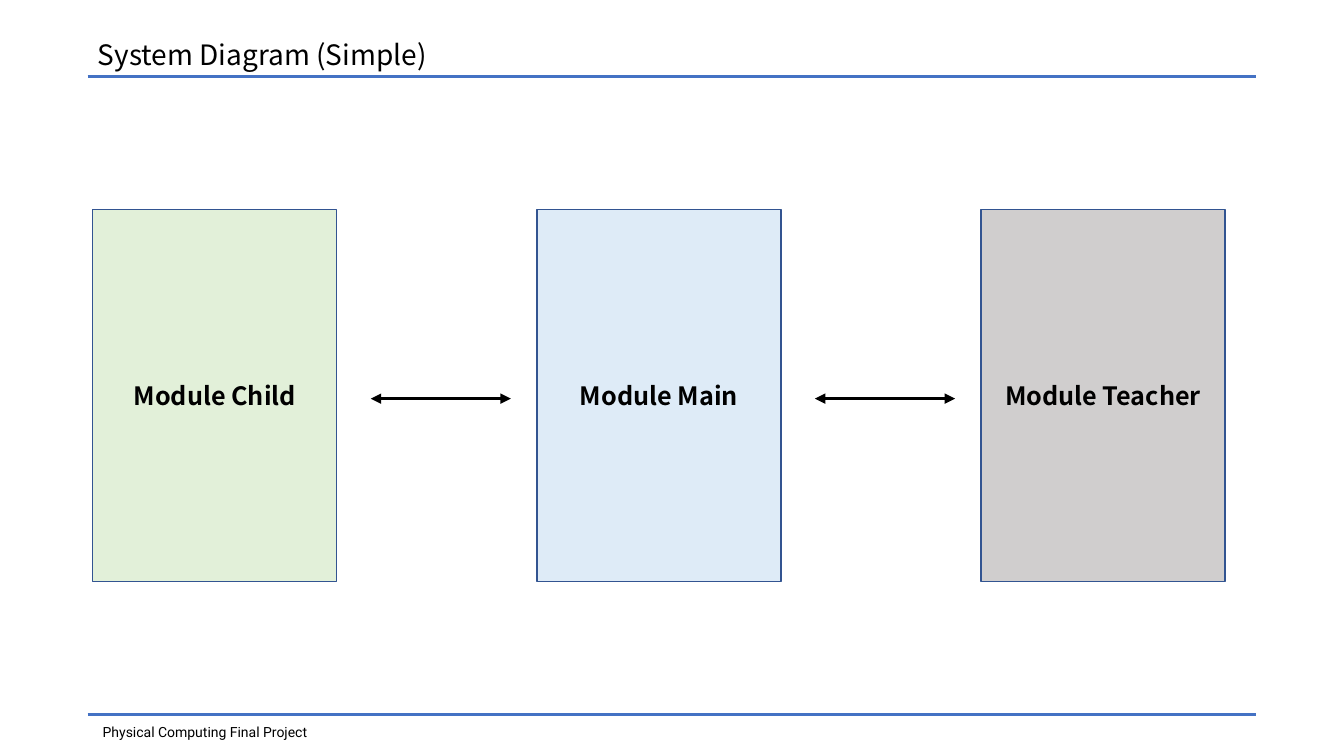
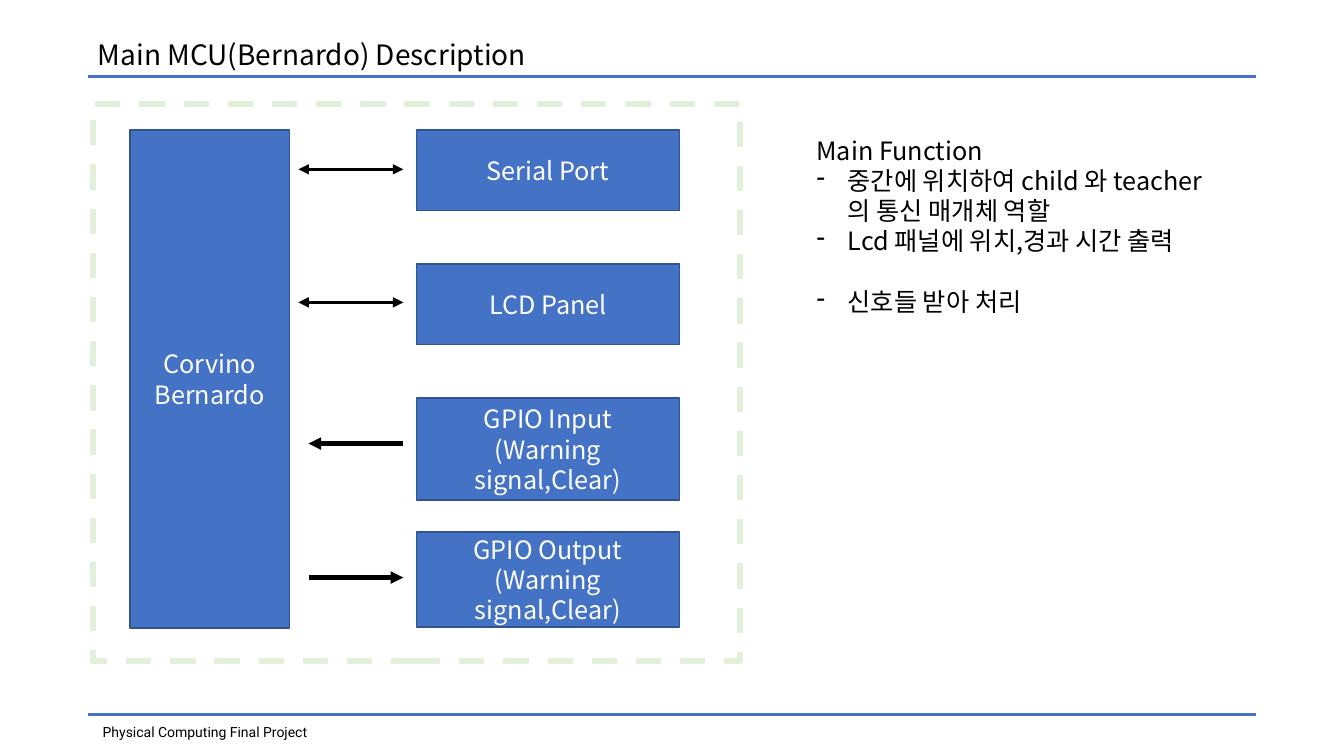
from collections import namedtuple

from pptx import Presentation
from pptx.dml.color import RGBColor
from pptx.enum.dml import MSO_LINE
from pptx.enum.shapes import MSO_CONNECTOR, MSO_SHAPE
from pptx.enum.text import MSO_ANCHOR, MSO_AUTO_SIZE, PP_ALIGN
from pptx.oxml.ns import qn
from pptx.util import Inches, Pt
from lxml import etree

STRAIGHT = MSO_CONNECTOR.STRAIGHT
RECTANGLE = MSO_SHAPE.RECTANGLE
DASH = MSO_LINE.DASH
TOP, MIDDLE = MSO_ANCHOR.TOP, MSO_ANCHOR.MIDDLE
NO_AUTOFIT = MSO_AUTO_SIZE.NONE
LEFT, CENTER = PP_ALIGN.LEFT, PP_ALIGN.CENTER

BLUE = RGBColor(0x44, 0x72, 0xC4)
OUTLINE = RGBColor(0x32, 0x54, 0x91)
GREEN = RGBColor(0xE2, 0xF0, 0xD9)
PALE_BLUE = RGBColor(0xDE, 0xEB, 0xF7)
GRAY = RGBColor(0xD0, 0xCE, 0xCE)
BLACK = RGBColor(0, 0, 0)
WHITE = RGBColor(0xFF, 0xFF, 0xFF)

BODY_FONT = "Noto Sans CJK KR"
FOOTER_FONT = "Roboto"
FOOTER = "Physical Computing Final Project"
TITLE_ONLY = 5

Box = namedtuple("Box", "left top width height")
TITLE_BOX = Box(0.87, 0.32, 11.6, 0.44)
FOOTER_BOX = Box(0.92, 7.13, 4.25, 0.27)
RULE_LEFT, RULE_RIGHT = 0.87, 12.46
RULE_HEIGHTS = (0.76, 7.09)


def inches(box):
    """Convert a box to lengths."""
    return [Inches(value) for value in box]


def write(text_frame, text, size=18, color=BLACK, font=BODY_FONT, bold=False,
          align=LEFT, anchor=TOP):
    """Fill a text frame and format all its runs alike."""
    text_frame.text = text
    text_frame.word_wrap = True
    text_frame.auto_size = NO_AUTOFIT
    text_frame.vertical_anchor = anchor
    for paragraph in text_frame.paragraphs:
        paragraph.alignment = align
        for run in paragraph.runs:
            run.font.size = Pt(size)
            run.font.bold = bold
            run.font.color.rgb = color
            run.font.name = font
            properties = run.font._element
            etree.SubElement(properties, qn("a:ea"), typeface=font)


def add_text(slide, box, text, **style):
    """Add a text box."""
    text_frame = slide.shapes.add_textbox(*inches(box)).text_frame
    write(text_frame, text, **style)
    return text_frame


def add_line(slide, start, end, color=BLACK, width=2.5, ends=()):
    """Add a straight line; ends names the line ends with an arrowhead."""
    points = [Inches(value) for value in (*start, *end)]
    line = slide.shapes.add_connector(STRAIGHT, *points)
    line.line.color.rgb = color
    line.line.width = Pt(width)
    outline = line.line._get_or_add_ln()
    for end_name in ends:
        etree.SubElement(outline, qn("a:" + end_name), type="triangle")
    etree.SubElement(line._element.spPr, qn("a:effectLst"))


def add_block(slide, box, text, fill=BLUE, color=WHITE, bold=False):
    """Add a filled rectangle with a centred label."""
    block = slide.shapes.add_shape(RECTANGLE, *inches(box))
    block.shadow.inherit = False
    block.fill.solid()
    block.fill.fore_color.rgb = fill
    block.line.color.rgb = OUTLINE
    block.line.width = Pt(1)
    write(block.text_frame, text, color=color, bold=bold, align=CENTER, anchor=MIDDLE)


def add_frame(slide, box):
    """Add the dashed border around a group of blocks."""
    frame = slide.shapes.add_shape(RECTANGLE, *inches(box))
    frame.shadow.inherit = False
    frame.fill.background()
    frame.line.color.rgb = GREEN
    frame.line.width = Pt(4.5)
    frame.line.dash_style = DASH


def add_base_slide(presentation, title):
    """Add a slide with the shared title, rules and footer."""
    slide = presentation.slides.add_slide(presentation.slide_layouts[TITLE_ONLY])
    placeholder = slide.shapes.title
    (placeholder.left, placeholder.top,
     placeholder.width, placeholder.height) = inches(TITLE_BOX)
    write(placeholder.text_frame, title, size=20)
    for height in RULE_HEIGHTS:
        add_line(slide, (RULE_LEFT, height), (RULE_RIGHT, height), BLUE)
    add_text(slide, FOOTER_BOX, FOOTER, size=10, font=FOOTER_FONT)
    return slide


def add_module_row(slide, box, modules):
    """Spread the modules evenly over the box, with arrows in the gaps."""
    width, arrow_length = 2.42, 1.39
    pitch = (box.width - width) / (len(modules) - 1)
    arrow_y = box.top + box.height / 2 + 0.03
    for index, (name, fill) in enumerate(modules):
        left = box.left + index * pitch
        add_block(slide, Box(left, box.top, width, box.height), name, fill, BLACK, True)
        if index:
            arrow_left = left - (pitch - width + arrow_length) / 2 + 0.04
            add_line(slide, (arrow_left, arrow_y), (arrow_left + arrow_length, arrow_y),
                     ends=("headEnd", "tailEnd"))


def add_controller(slide, box, name, peripherals):
    """Draw the controller and its peripherals inside a dashed frame."""
    add_frame(slide, box)
    top, height, pitch = box.top + 0.26, 4.94, 1.33
    add_block(slide, Box(box.left + 0.37, top, 1.58, height), name)
    arrow_right = box.left + 3.08
    for index, (label, block_height, arrow_drop, ends) in enumerate(peripherals):
        row_top = top + index * pitch
        add_block(slide, Box(box.left + 3.21, row_top, 2.61, block_height), label)
        two_way = len(ends) == 2
        arrow_left = arrow_right - (1.04 if two_way else 0.94)
        arrow_y = row_top + arrow_drop
        add_line(slide, (arrow_left, arrow_y), (arrow_right, arrow_y),
                 width=2.5 if two_way else 3, ends=ends)


def add_functions(slide, box, heading, functions):
    """List the functions with dashes under a heading."""
    text_frame = add_text(slide, box, "\n".join([heading, *functions]))
    bullets = text_frame.paragraphs[1:]
    bullets[-1].space_before = Pt(21.5)
    for paragraph in bullets:
        properties = paragraph._p.get_or_add_pPr()
        properties.set("marL", str(Inches(0.31)))
        properties.set("indent", str(Inches(-0.31)))
        etree.SubElement(properties, qn("a:buChar"), char="-")


def build_system_slide(presentation):
    """Build the overview of the three modules."""
    slide = add_base_slide(presentation, "System Diagram (Simple)")
    add_module_row(slide, Box(0.92, 2.08, 11.23, 3.69), [
        ("Module Child", GREEN),
        ("Module Main", PALE_BLUE),
        ("Module Teacher", GRAY),
    ])


def build_controller_slide(presentation):
    """Build the description of the main controller."""
    slide = add_base_slide(presentation, "Main MCU(Bernardo) Description")
    both = ("headEnd", "tailEnd")
    add_controller(slide, Box(0.92, 1.03, 6.42, 5.53), "Corvino\nBernardo", [
        ("Serial Port", 0.8, 0.39, both),
        ("LCD Panel", 0.8, 0.38, both),
        ("GPIO Input\n(Warning signal,Clear)", 1.01, 0.45, ("headEnd",)),
        ("GPIO Output\n(Warning signal,Clear)", 0.94, 0.45, ("tailEnd",)),
    ])
    add_functions(slide, Box(8, 1.29, 4.05, 2.52), "Main Function", [
        "중간에 위치하여 child 와 teacher 의 통신 매개체 역할",
        "Lcd 패널에 위치,경과 시간 출력",
        "신호들 받아 처리",
    ])


def main():
    """Build and save the presentation."""
    presentation = Presentation()
    presentation.slide_width = Inches(13.33)
    presentation.slide_height = Inches(7.5)
    build_system_slide(presentation)
    build_controller_slide(presentation)
    presentation.save("out.pptx")


main()
